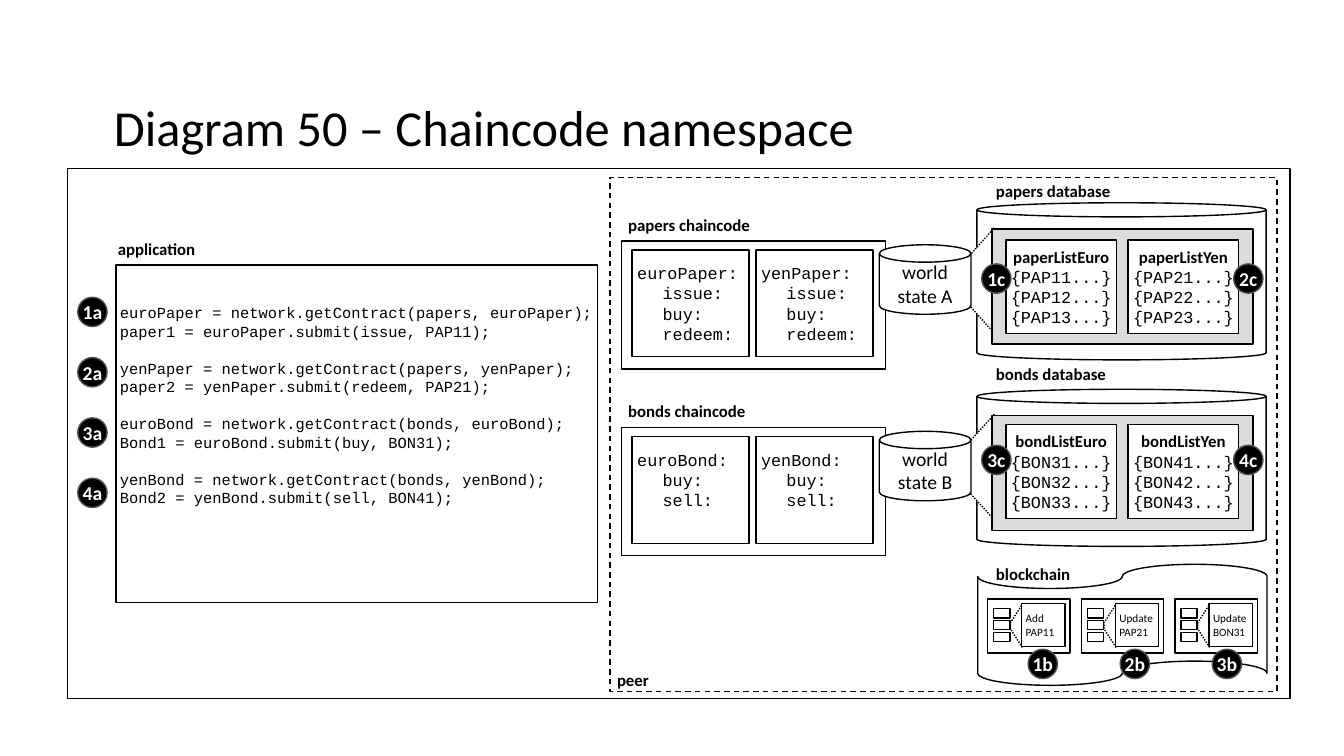
from pptx import Presentation
from pptx.dml.color import RGBColor
from pptx.enum.dml import MSO_LINE
from pptx.enum.shapes import MSO_SHAPE as Kind
from pptx.enum.text import MSO_ANCHOR, MSO_AUTO_SIZE, PP_ALIGN
from pptx.util import Cm, Pt

SANS, MONO = "Calibri", "Courier New"
LEFT, MID = PP_ALIGN.LEFT, PP_ALIGN.CENTER
PAD = (0.13, 0.13, 0.13, 0.13)
SLIM = (0, 0.13, 0, 0.13)


def tint(code):
    return RGBColor.from_string(code)


class Board:
    """Holds the slide and its black-on-white line style."""
    ink, paper, rim, shade = "000000", "FFFFFF", "535353", "DCDCDC"

    def __init__(self, slide):
        self.slide = slide

    def frame(self, body, pad, anchor):
        body.margin_left, body.margin_top, body.margin_right, body.margin_bottom = map(Cm, pad)
        body.vertical_anchor = anchor
        body.word_wrap = True
        body.auto_size = MSO_AUTO_SIZE.NONE

    def words(self, item, lines, size, font=SANS, bold=False, align=LEFT,
              pad=PAD, color=ink, anchor=MSO_ANCHOR.MIDDLE):
        body = item.text_frame
        body.text = "\n".join(lines)
        self.frame(body, pad, anchor)
        for para in body.paragraphs:
            para.alignment = align
            para.font.size, para.font.name, para.font.bold = Pt(size), font, bold
            para.font.color.rgb = tint(color)
        return body.paragraphs

    def title(self, text, *box):
        item = self.slide.shapes.title
        item.left, item.top, item.width, item.height = map(Cm, box)
        self.words(item, [text], 36)[0].line_spacing = 0.9

    def shape(self, kind, *box, fill=paper, line=ink, dash=None, turn=0, bend=None):
        item = self.slide.shapes.add_shape(kind, *map(Cm, box))
        item.shadow.inherit = False
        if fill:
            item.fill.solid()
            item.fill.fore_color.rgb = tint(fill)
        else:
            item.fill.background()
        item.line.color.rgb = tint(line)
        item.line.width = Pt(1)
        if dash:
            item.line.dash_style = dash
        if bend:
            item.adjustments[0] = bend
        item.rotation = turn
        return item

    def rect(self, *box, **style):
        return self.shape(Kind.RECTANGLE, *box, **style)

    def zoom(self, *box, bend):
        self.shape(Kind.TRAPEZOID, *box, dash=MSO_LINE.ROUND_DOT, turn=270, bend=bend)

    def label(self, text, x, y, wide):
        item = self.slide.shapes.add_textbox(Cm(x), Cm(y), Cm(wide), Cm(0.76))
        self.words(item, [text], 12, bold=True, anchor=MSO_ANCHOR.TOP)
        item.text_frame.word_wrap = False
        item.text_frame.auto_size = MSO_AUTO_SIZE.SHAPE_TO_FIT_TEXT

    def badge(self, text, x, y):
        item = self.shape(Kind.OVAL, x, y, 0.74, 0.74, fill=self.ink, line=self.rim)
        self.words(item, [text], 14, bold=True, align=MID, pad=SLIM, color=self.paper)

    def contract(self, name, calls, x, y):
        # Shorter contracts stay level with those of three calls
        pad = (0.13, 0.13, 0.13, 0.13 + 0.51 * (3 - len(calls)))
        lines = [word + ":" for word in [name] + calls]
        paras = self.words(self.rect(x, y, 2.95, 2.69), lines, 12, MONO, pad=pad)
        for para in paras[1:]:
            props = para._p.get_or_add_pPr()
            props.set("marL", str(Cm(0.64)))
            props.set("indent", "0")

    def ledger(self, name, code, x, y):
        lines = [name] + [f"{{{code}{n}...}}" for n in (1, 2, 3)]
        paras = self.words(self.rect(x, y, 2.79, 2.36), lines, 12, MONO, align=MID, pad=SLIM)
        paras[0].font.name, paras[0].font.bold = SANS, True

    def block(self, lines, x, y):
        self.rect(x, y, 2.08, 1.37)
        self.zoom(x + 0.18, y + 0.53, 1.09, 0.3, bend=1.557)
        self.words(self.rect(x + 0.86, y + 0.12, 1.09, 1.09), lines, 8,
                   pad=(0.1, 0.2, 0.1, 0.2))
        for n in range(3):
            self.rect(x + 0.15, y + 0.25 + n * 0.3, 0.41, 0.23)


deck = Presentation()
deck.slide_width, deck.slide_height = Cm(33.87), Cm(19.05)
board = Board(deck.slides.add_slide(deck.slide_layouts[5]))
board.title("Diagram 50 – Chaincode namespace", 2.74, 1.45, 29.21, 3.68)
board.rect(1.7, 4.24, 30.81, 13.36, fill=None)

# Application
deals = [("euroPaper", "papers", "paper1", "issue, PAP11"),
         ("yenPaper", "papers", "paper2", "redeem, PAP21"),
         ("euroBond", "bonds", "Bond1", "buy, BON31"),
         ("yenBond", "bonds", "Bond2", "sell, BON41")]
code = []
for name, space, result, args in deals:
    code += [f"{name} = network.getContract({space}, {name});",
             f"{result} = {name}.submit({args});"]
app = board.rect(2.92, 6.68, 12.14, 8.51)
paras = board.words(app, code, 11, MONO, pad=(0.1, 0.97, 0, 0.13), anchor=MSO_ANCHOR.TOP)
for para in paras[2::2]:
    para.space_before = Pt(13.2)
for n in range(4):
    board.badge(f"{n + 1}a", 1.96, 7.49 + n * 1.52)
board.label("application", 2.84, 5.89, 2.24)

# Peer
board.rect(15.37, 4.47, 16.81, 12.95, fill=None, dash=MSO_LINE.DASH)
board.label("peer", 15.42, 16.74, 1.07)

# Chaincodes with their world state and database
rows = [("paper", "Paper", "PAP", "A", ["issue", "buy", "redeem"], 1.12),
        ("bond", "Bond", "BON", "B", ["buy", "sell"], 1.1)]
for row, (low, cap, code, state, calls, bend) in enumerate(rows):
    drop = row * 4.7
    first = row * 2 + 1
    board.label(f"{low}s chaincode", 15.7, 5.28 + drop, 3.38 - row * 0.13)
    board.rect(15.67, 6.07 + drop, 6.65, 3.23)
    for n, coin in enumerate(("euro", "yen")):
        board.contract(coin + cap, calls, 15.93 + n * 3.12, 6.3 + drop)
    board.shape(Kind.CAN, 24.62, 5.11 + drop, 7.29, 3.96, bend=0.09)
    board.zoom(23.16, 6.5 + drop, 2.64, 1.14, bend=bend)
    can = board.shape(Kind.CAN, 22.16, 6.17 + drop, 2.31, 1.75)
    board.words(can, ["world", f"state {state}"], 14, align=MID)
    board.label(f"{low}s database", 24.97, 4.42 + row * 4.62, 3.18 - row * 0.11)
    board.rect(25, 5.77 + drop, 6.58, 2.9, fill=board.shade)
    for n, coin in enumerate(("Euro", "Yen")):
        board.ledger(f"{low}List{coin}", f"{code}{first + n}",
                     25.35 + n * 3.08, 6.05 + row * 4.65)
    for n in range(2):
        board.badge(f"{first + n}c", 24.74 + n * 6.35, 6.65 + row * 4.57)

# Blockchain
board.shape(Kind.FLOWCHART_PUNCHED_TAPE, 24.64, 14.22, 7.29, 3.05)
board.label("blockchain", 24.97, 14.07, 2.16)
blocks = [("Add", "PAP11"), ("Update", "PAP21"), ("Update", "BON31")]
for n, lines in enumerate(blocks):
    board.block(lines, 24.89 + n * 2.36, 15.09)
    board.badge(f"{n + 1}b", 25.91 + n * 2.32, 16.36)

deck.save("out.pptx")
